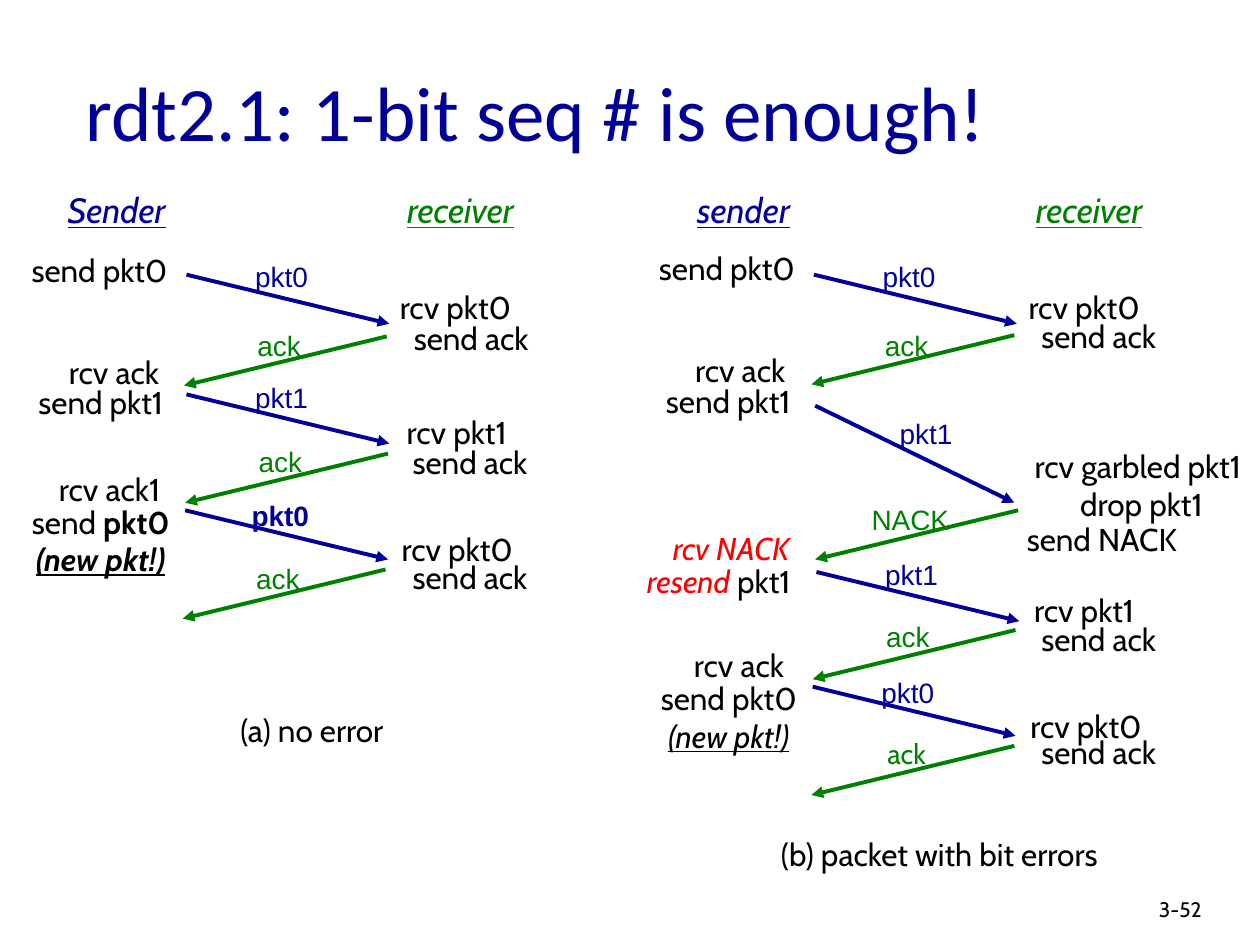
"""Build a slide that compares rdt2.1 packet exchanges without and with bit errors."""

from dataclasses import dataclass

import pptx
import pptx.dml.color
import pptx.enum.shapes
import pptx.enum.text
import pptx.oxml
import pptx.oxml.ns
import pptx.slide
import pptx.util

Inches = pptx.util.Inches
Pt = pptx.util.Pt
RGBColor = pptx.dml.color.RGBColor
PP_ALIGN = pptx.enum.text.PP_ALIGN
MSO_ANCHOR = pptx.enum.text.MSO_ANCHOR
MSO_AUTO_SIZE = pptx.enum.text.MSO_AUTO_SIZE

NAVY = RGBColor(0x00, 0x00, 0x99)
GREEN = RGBColor(0x00, 0x80, 0x00)
RED = RGBColor(0xFF, 0x00, 0x00)
BLACK = RGBColor(0x00, 0x00, 0x00)

ARROW_RUN = 1.61
ARROW_DROP = 0.39


@dataclass(frozen=True)
class Run:
    text: str
    color: RGBColor = BLACK
    bold: bool = False
    italic: bool = False
    underline: bool = False


@dataclass(frozen=True)
class Label:
    left: float
    top: float
    width: float
    lines: tuple[tuple[Run, ...], ...]
    size: int = 18
    font: str = "Cabin"
    align: PP_ALIGN = PP_ALIGN.CENTER
    spacing: float = 1.0
    height: float = 0.4
    anchor: MSO_ANCHOR = MSO_ANCHOR.TOP
    grow: bool = True


@dataclass(frozen=True)
class Message:
    text: str
    left: float
    top: float
    label_top: float
    reply: bool = False
    bold: bool = False
    font: str = "Arial"
    run: float = ARROW_RUN
    drop: float = ARROW_DROP
    label_shift: float = -0.05
    label_width: float = 0.64


def event(left: float, top: float, width: float, text: str) -> Label:
    return Label(left, top, width, ((Run(text),),))


def heading(left: float, width: float, text: str, color: RGBColor) -> Label:
    run = Run(text, color, italic=True, underline=True)
    return Label(left, 1.45, width, ((run,),), size=20, height=0.43)


def nack_event(left: float, top: float, width: float, *runs: Run) -> Label:
    return Label(left, top, width, (runs,), align=PP_ALIGN.RIGHT, spacing=0.75, height=0.33)


LABELS = [
    Label(0.58, 0.25, 8.5, ((Run("rdt2.1: 1-bit seq # is enough!", NAVY),),), 44, "Calibri",
          PP_ALIGN.LEFT, height=1.25, anchor=MSO_ANCHOR.MIDDLE, grow=False),
    Label(9.1, 7.07, 0.74, ((Run("3-52"),),), 12, align=PP_ALIGN.LEFT, height=0.3, grow=False),
    heading(0.39, 1.07, "Sender", NAVY),
    heading(3.07, 1.17, "receiver", GREEN),
    event(0.15, 1.94, 1.28, "send pkt0"),
    event(3.07, 2.24, 1.09, "rcv pkt0"),
    event(3.15, 2.48, 1.18, "send ack"),
    event(0.41, 2.75, 0.99, "rcv ack"),
    event(0.16, 2.99, 1.28, "send pkt1"),
    event(3.08, 3.23, 1.09, "rcv pkt1"),
    event(3.14, 3.47, 1.18, "send ack"),
    event(0.31, 3.68, 1.12, "rcv ack1"),
    Label(0.03, 3.94, 1.54, ((Run("send "), Run("pkt0", bold=True)),
                             (Run("(new pkt!)", bold=True, italic=True, underline=True),)),
          height=0.71),
    event(3.08, 4.16, 1.1, "rcv pkt0"),
    event(3.14, 4.38, 1.18, "send ack"),
    event(1.72, 5.59, 1.51, "(a) no error"),
    heading(5.39, 1.02, "sender", NAVY),
    heading(8.06, 1.17, "receiver", GREEN),
    event(5.13, 1.93, 1.28, "send pkt0"),
    event(8.06, 2.24, 1.09, "rcv pkt0"),
    event(8.13, 2.47, 1.18, "send ack"),
    event(5.38, 2.74, 0.99, "rcv ack"),
    event(5.14, 2.98, 1.28, "send pkt1"),
    Label(8.01, 3.5, 2.1, ((Run("rcv garbled pkt1 "),), (Run("drop pkt1"),)), height=0.71),
    event(8.03, 4.08, 1.43, "send NACK"),
    nack_event(5.11, 4.22, 1.31, Run("rcv NACK ", RED, italic=True)),
    nack_event(4.83, 4.48, 1.6, Run("resend ", RED, italic=True), Run("pkt1 ")),
    event(8.06, 4.64, 1.09, "rcv pkt1"),
    event(8.13, 4.87, 1.18, "send ack"),
    event(5.37, 5.08, 0.99, "rcv ack"),
    Label(5.1, 5.34, 1.37, ((Run("send pkt0"),),
                            (Run("(new pkt!)", italic=True, underline=True),)), height=0.71),
    event(8.07, 5.56, 1.1, "rcv pkt0"),
    event(8.13, 5.77, 1.18, "send ack"),
    event(5.96, 6.58, 2.99, "(b) packet with bit errors"),
]

MESSAGES = [
    Message("pkt0", 1.48, 2.18, 2.01),
    Message("ack", 1.46, 2.67, 2.56, reply=True),
    Message("pkt1", 1.48, 3.13, 2.97),
    Message("ack", 1.47, 3.6, 3.48, reply=True),
    Message("pkt0", 1.47, 4.05, 3.91, bold=True, label_width=0.72),
    Message("ack", 1.45, 4.52, 4.41, reply=True),
    Message("pkt0", 6.46, 2.18, 2.01),
    Message("ack", 6.44, 2.66, 2.56, reply=True),
    Message("pkt1", 6.47, 3.22, 3.26, run=1.58, drop=0.77, label_shift=0.09),
    Message("NACK", 6.47, 4.05, 3.94, reply=True, label_width=0.84),
    Message("pkt1", 6.48, 4.54, 4.38),
    Message("ack", 6.45, 5.0, 4.87, reply=True),
    Message("pkt0", 6.45, 5.45, 5.31),
    Message("ack", 6.44, 5.92, 5.8, reply=True, font="Cabin"),
]


def draw_label(s: pptx.slide.Slide, label: Label) -> None:
    sp = s.shapes.add_textbox(Inches(label.left), Inches(label.top),
                              Inches(label.width), Inches(label.height))
    tf = sp.text_frame
    tf.word_wrap = not label.grow
    tf.auto_size = MSO_AUTO_SIZE.SHAPE_TO_FIT_TEXT if label.grow else MSO_AUTO_SIZE.NONE
    tf.vertical_anchor = label.anchor
    for i, line in enumerate(label.lines):
        p = tf.add_paragraph() if i else tf.paragraphs[0]
        p.alignment = label.align
        p.line_spacing = label.spacing
        for run in line:
            r = p.add_run()
            r.text = run.text
            r.font.name = label.font
            r.font.size = Pt(label.size)
            r.font.color.rgb = run.color
            r.font.bold = run.bold
            r.font.italic = run.italic
            r.font.underline = run.underline


def draw_message(s: pptx.slide.Slide, msg: Message) -> None:
    color = GREEN if msg.reply else NAVY
    start, end = msg.left, msg.left + msg.run
    if msg.reply:
        start, end = end, start
    cxn = s.shapes.add_connector(pptx.enum.shapes.MSO_CONNECTOR.STRAIGHT, Inches(start),
                                 Inches(msg.top), Inches(end), Inches(msg.top + msg.drop))
    cxn.line.color.rgb = color
    cxn.line.width = Pt(2.25)
    ln = cxn.line._get_or_add_ln()
    ln.append(pptx.oxml.parse_xml(f'<a:tailEnd {pptx.oxml.ns.nsdecls("a")} type="triangle"/>'))
    sp_pr = cxn._element.spPr
    sp_pr.append(pptx.oxml.parse_xml(f'<a:effectLst {pptx.oxml.ns.nsdecls("a")}/>'))
    left = msg.left + (msg.run - msg.label_width) / 2 + msg.label_shift
    draw_label(s, Label(left, msg.label_top, msg.label_width,
                        ((Run(msg.text, color, msg.bold),),),
                        size=16, font=msg.font, height=0.37))


def main() -> None:
    prs = pptx.Presentation()
    prs.slide_width, prs.slide_height = Inches(10), Inches(7.5)
    s = prs.slides.add_slide(prs.slide_layouts[6])
    for label in LABELS:
        draw_label(s, label)
    for msg in MESSAGES:
        draw_message(s, msg)
    prs.save("out.pptx")


if __name__ == "__main__":
    main()
